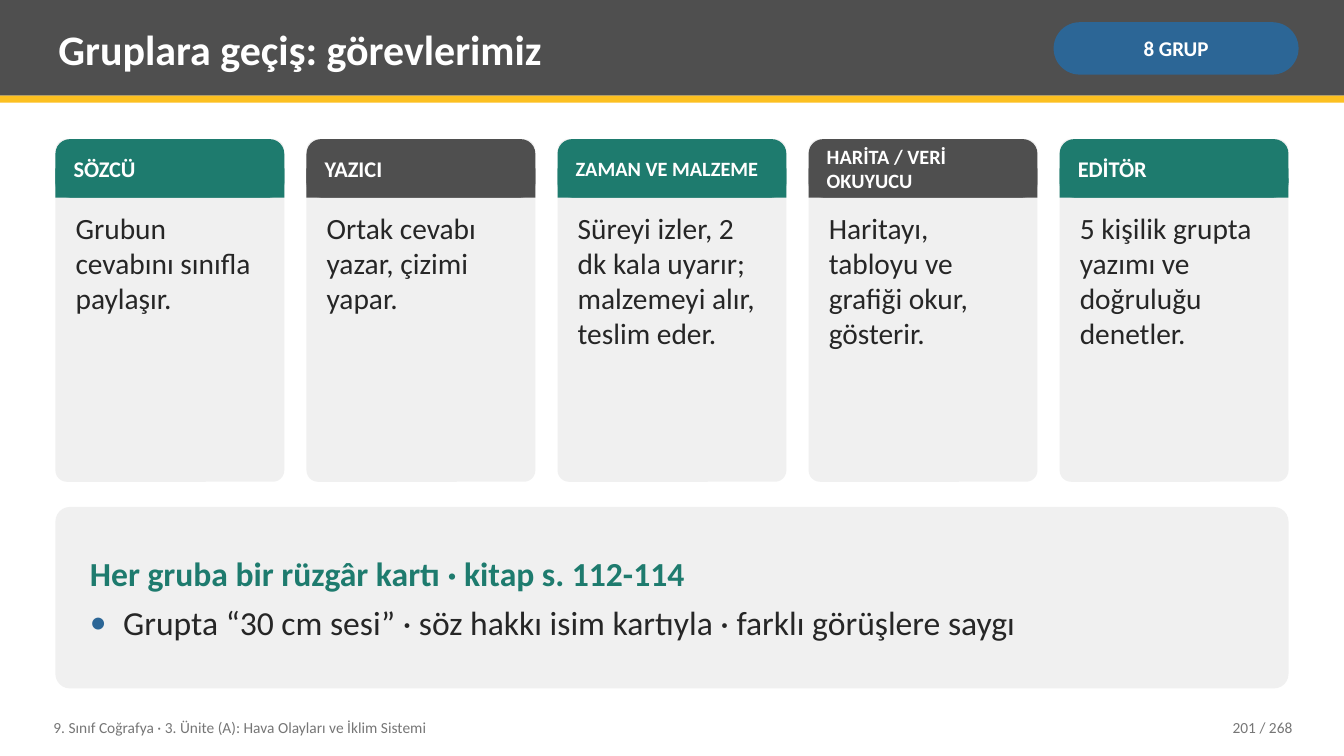
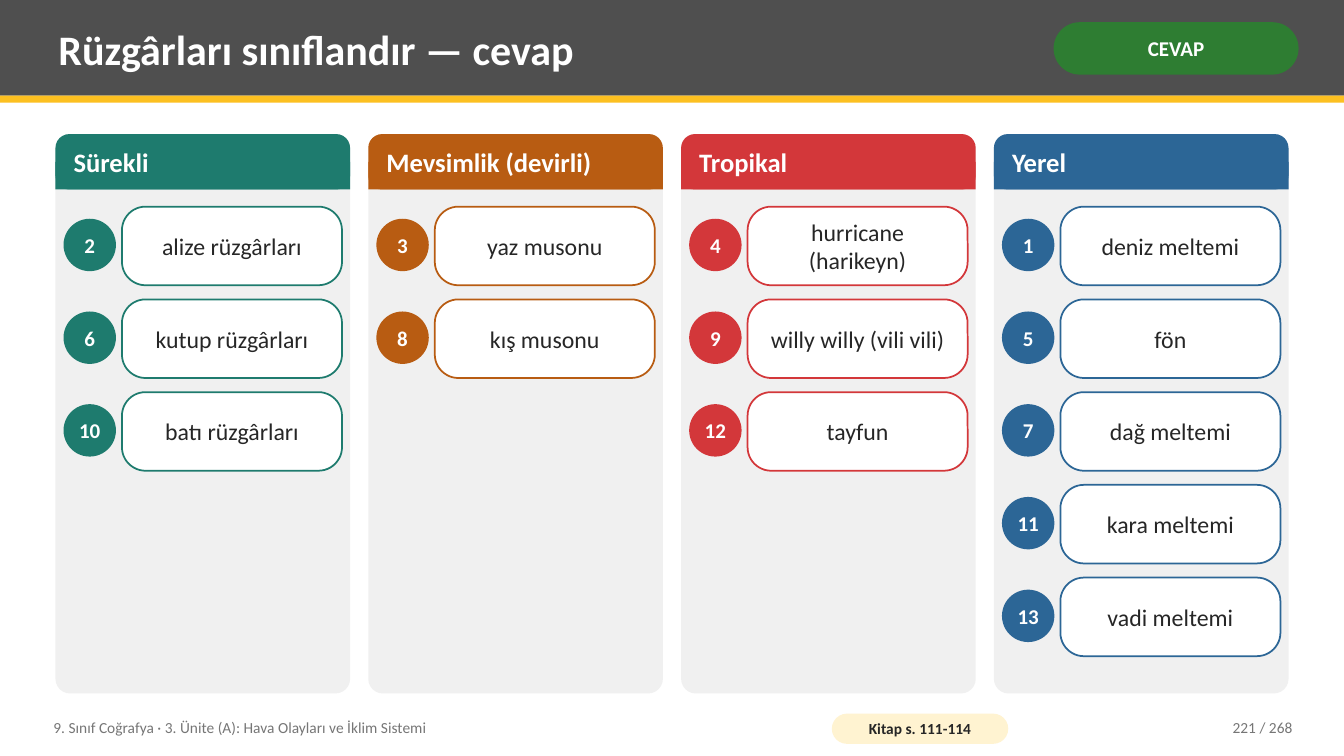
from lxml import etree
from pptx import Presentation
from pptx.dml.color import RGBColor
from pptx.enum.shapes import MSO_SHAPE as SHAPE
from pptx.enum.text import MSO_ANCHOR as ANCHOR, PP_ALIGN as ALIGN
from pptx.oxml.ns import qn
from pptx.util import Inches, Pt

FONT = "Calibri"
WHITE, INK, GRAY, PANEL = "FFFFFF", "262626", "767676", "F0F0F0"
DARK, YELLOW, CREAM = "4F4F4F", "FCC021", "FFF3D1"
TEAL, BLUE, ORANGE, RED, GREEN = "1E7B6E", "2C6696", "B85C12", "D3373A", "2E7D32"
LEFT, WIDTH = 0.55, 12.23
COURSE = "9. Sınıf Coğrafya · 3. Ünite (A): Hava Olayları ve İklim Sistemi"
PAGES = 268


def rgb(code):
    return RGBColor.from_string(code)


def columns(count, gap):
    """Return the left edges and the common width of equal columns."""
    w = (WIDTH - gap * (count - 1)) / count
    return [LEFT + i * (w + gap) for i in range(count)], w


class Deck:
    def __init__(self):
        self.prs = Presentation()
        self.prs.slide_width, self.prs.slide_height = Inches(13.33), Inches(7.5)
        self.s = None

    def new_slide(self, title, tag, tag_color, page):
        """Start a slide with its title band, tag and footer."""
        self.s = self.prs.slides.add_slide(self.prs.slide_layouts[6])
        self.shape(SHAPE.RECTANGLE, (0, 0, 13.33, 0.95), DARK)
        self.shape(SHAPE.RECTANGLE, (0, 0.95, 13.33, 0.07), YELLOW)
        self.text((0.5, 0.07, 9.75, 0.82), title, 30, WHITE, bold=True)
        self.pill((10.45, 0.22, 2.43, 0.52), tag, 15, tag_color, WHITE, (0.05, 0.02))
        self.text((0.45, 7.04, 7.6, 0.36), COURSE, 11, GRAY)
        self.text((11.3, 7.04, 1.6, 0.36), f"{page} / {PAGES}", 11, GRAY, align=ALIGN.RIGHT)

    def shape(self, kind, box, fill, adj=None, line=None):
        sp = self.s.shapes.add_shape(kind, *map(Inches, box))
        sp.shadow.inherit = False
        sp.fill.solid()
        sp.fill.fore_color.rgb = rgb(fill)
        if adj is not None:
            sp.adjustments[0] = adj
        if line:
            sp.line.color.rgb = rgb(line)
            sp.line.width = Pt(1.25)
        else:
            sp.line.fill.background()
        return sp

    def frame(self, sp, insets=(0.08, 0.04), anchor=ANCHOR.MIDDLE, wrap=True):
        """Set the text frame's format and return its first paragraph."""
        x, y = map(Inches, insets)
        values = {"margin_left": x, "margin_right": x, "margin_top": y,
                  "margin_bottom": y, "vertical_anchor": anchor, "word_wrap": wrap}
        for name, value in values.items():
            setattr(sp.text_frame, name, value)
        return sp.text_frame.paragraphs[0]

    def add_text(self, p, text, size, color, bold=False, align=ALIGN.LEFT):
        p.alignment = align
        r = p.add_run()
        r.text = text
        for name, value in {"name": FONT, "size": Pt(size), "bold": bold}.items():
            setattr(r.font, name, value)
        r.font.color.rgb = rgb(color)

    def text(self, box, text, size, color, bold=False, align=ALIGN.LEFT,
             anchor=ANCHOR.MIDDLE):
        sp = self.s.shapes.add_textbox(*map(Inches, box))
        self.add_text(self.frame(sp, anchor=anchor), text, size, color, bold, align)

    def pill(self, box, text, size, fill, color, insets):
        sp = self.shape(SHAPE.ROUNDED_RECTANGLE, box, fill, 0.5)
        self.add_text(self.frame(sp, insets), text, size, color, True, ALIGN.CENTER)

    def card(self, box, head_h, head, size, color):
        """Draw a pale panel with a coloured heading, square at its foot."""
        x, y, w, h = box
        self.shape(SHAPE.ROUNDED_RECTANGLE, box, PANEL, 0.05)
        self.shape(SHAPE.ROUNDED_RECTANGLE, (x, y, w, head_h), color, 0.25)
        self.shape(SHAPE.RECTANGLE, (x, y + head_h / 2, w, head_h / 2), color)
        self.text((x + 0.1, y, w - 0.2, head_h), head, size, WHITE, bold=True)

    def numbered_item(self, x, y, w, number, text, color):
        sp = self.shape(SHAPE.OVAL, (x, y + 0.12, 0.52, 0.52), color)
        p = self.frame(sp, (0, 0), wrap=False)
        self.add_text(p, str(number), 15, WHITE, True, ALIGN.CENTER)
        sp = self.shape(SHAPE.ROUNDED_RECTANGLE, (x + 0.58, y, w - 0.58, 0.78),
                        WHITE, 0.3, color)
        self.add_text(self.frame(sp, (0.06, 0)), text, 17, INK, align=ALIGN.CENTER)

    def bullet(self, p, color):
        pPr = p._p.get_or_add_pPr()
        pPr.set("marL", str(Inches(0.33)))
        pPr.set("indent", str(-Inches(0.33)))
        clr = etree.SubElement(pPr, qn("a:buClr"))
        etree.SubElement(clr, qn("a:srgbClr"), val=color)
        etree.SubElement(pPr, qn("a:buFont"), typeface=FONT)
        etree.SubElement(pPr, qn("a:buChar"), char="•")

    def note(self, box, heading, point):
        sp = self.shape(SHAPE.ROUNDED_RECTANGLE, box, PANEL, 0.08)
        p = self.frame(sp, (0.3, 0.08))
        p.space_after = Pt(6)
        self.add_text(p, heading, 24, TEAL, bold=True)
        p = sp.text_frame.add_paragraph()
        self.bullet(p, BLUE)
        self.add_text(p, point, 24, INK)


def roles_slide(deck):
    deck.new_slide("Gruplara geçiş: görevlerimiz", "8 GRUP", BLUE, 201)
    roles = [
        ("SÖZCÜ", 16, "Grubun cevabını sınıfla paylaşır."),
        ("YAZICI", 16, "Ortak cevabı yazar, çizimi yapar."),
        ("ZAMAN VE MALZEME", 14.5,
         "Süreyi izler, 2 dk kala uyarır; malzemeyi alır, teslim eder."),
        ("HARİTA / VERİ OKUYUCU", 14.5, "Haritayı, tabloyu ve grafiği okur, gösterir."),
        ("EDİTÖR", 16, "5 kişilik grupta yazımı ve doğruluğu denetler."),
    ]
    lefts, w = columns(len(roles), 0.22)
    for i, (x, (role, size, duty)) in enumerate(zip(lefts, roles)):
        deck.card((x, 1.38, w, 3.4), 0.58, role, size, DARK if i % 2 else TEAL)
        deck.text((x + 0.12, 2.04, w - 0.24, 2.66), duty, 21, INK, anchor=ANCHOR.TOP)
    deck.note((LEFT, 5.03, WIDTH, 1.8), "Her gruba bir rüzgâr kartı · kitap s. 112-114",
              "Grupta “30 cm sesi” · söz hakkı isim kartıyla · farklı görüşlere saygı")


def winds_slide(deck):
    deck.new_slide("Rüzgârları sınıflandır — cevap", "CEVAP", GREEN, 221)
    groups = [
        ("Sürekli", TEAL,
         {2: "alize rüzgârları", 6: "kutup rüzgârları", 10: "batı rüzgârları"}),
        ("Mevsimlik (devirli)", ORANGE, {3: "yaz musonu", 8: "kış musonu"}),
        ("Tropikal", RED,
         {4: "hurricane (harikeyn)", 9: "willy willy (vili vili)", 12: "tayfun"}),
        ("Yerel", BLUE,
         {1: "deniz meltemi", 5: "fön", 7: "dağ meltemi", 11: "kara meltemi",
          13: "vadi meltemi"}),
    ]
    lefts, w = columns(len(groups), 0.18)
    for x, (group, color, winds) in zip(lefts, groups):
        deck.card((x, 1.33, w, 5.55), 0.55, group, 19, color)
        for row, (number, wind) in enumerate(winds.items()):
            deck.numbered_item(x + 0.08, 2.05 + row * 0.92, w - 0.16, number, wind, color)
    deck.pill((8.25, 7.08, 1.75, 0.3), "Kitap s. 111-114", 11, CREAM, INK, (0.04, 0))


def main():
    deck = Deck()
    roles_slide(deck)
    winds_slide(deck)
    deck.prs.save("out.pptx")


if __name__ == "__main__":
    main()
